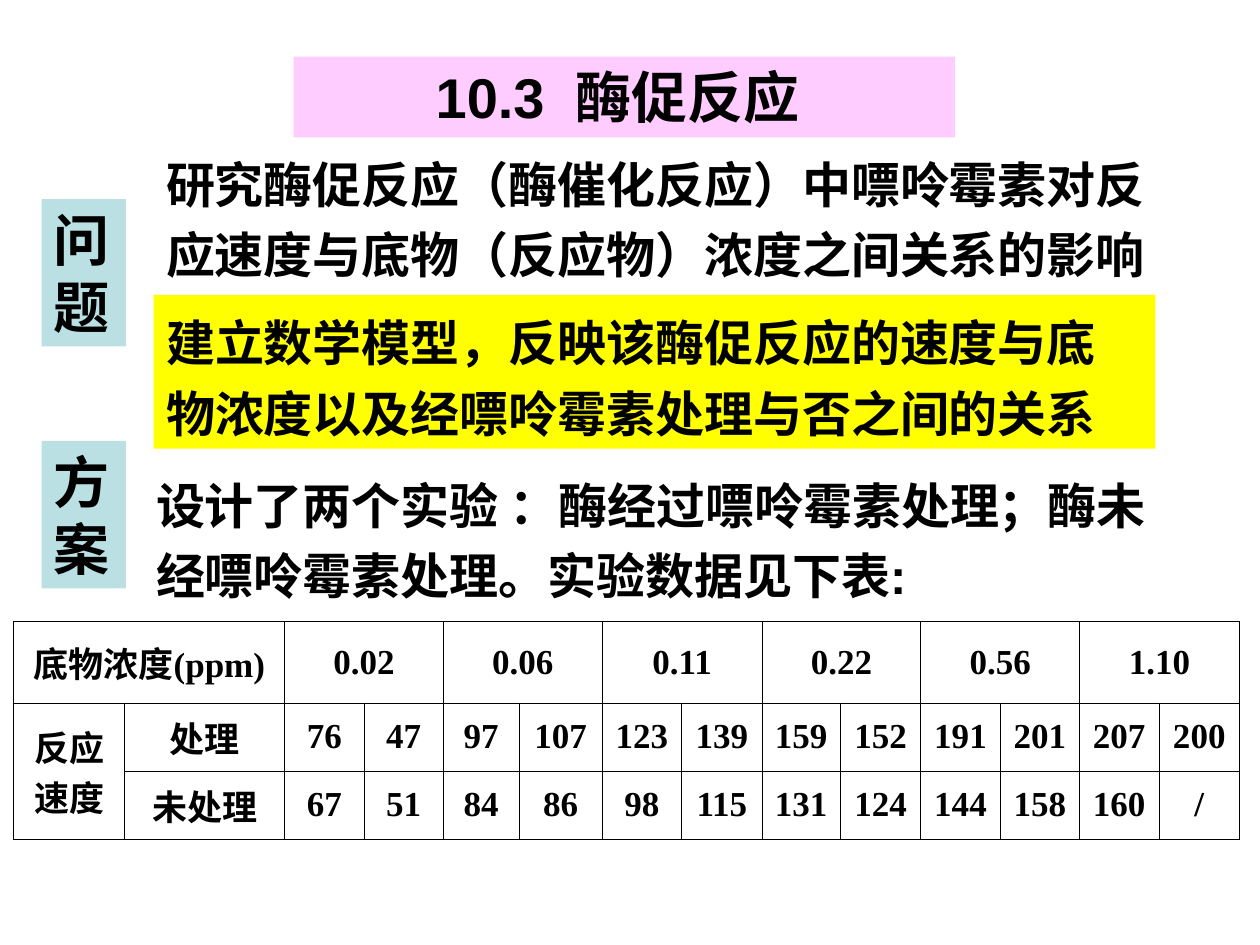
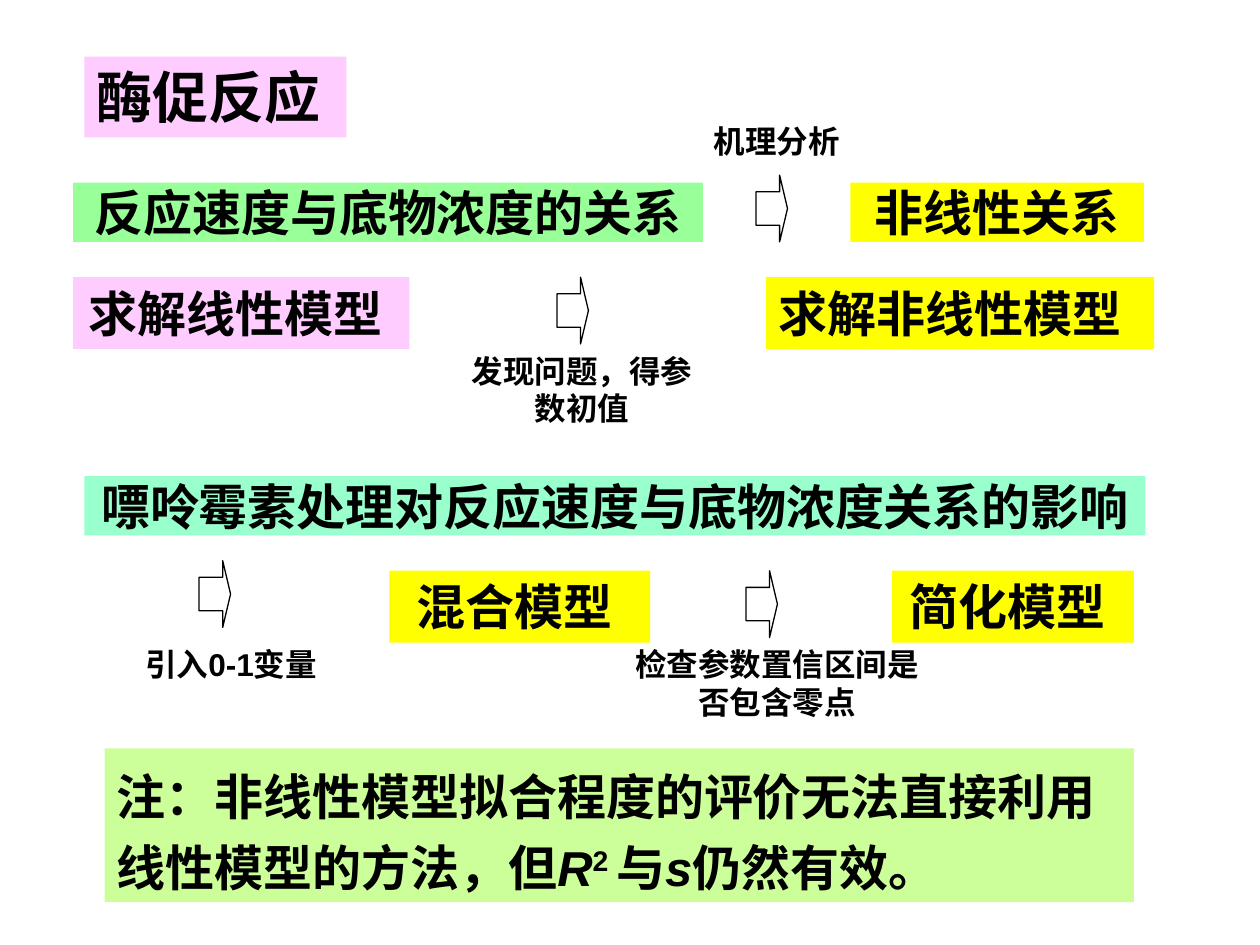
from lxml.etree import SubElement
from pptx import Presentation
from pptx.dml.color import RGBColor
from pptx.enum.lang import MSO_LANGUAGE_ID
from pptx.enum.shapes import MSO_SHAPE
from pptx.enum.text import MSO_ANCHOR, MSO_AUTO_SIZE, PP_ALIGN
from pptx.oxml.ns import qn
from pptx.util import Emu, Pt

EMU_PER_PX = 9144
SLIDE_SIZE = (1000, 750)

BLACK = RGBColor(0x00, 0x00, 0x00)
PINK = RGBColor(0xFF, 0xCC, 0xFF)
PALE_BLUE = RGBColor(0xBB, 0xE0, 0xE3)
YELLOW = RGBColor(0xFF, 0xFF, 0x00)
GREEN = RGBColor(0x99, 0xFF, 0x99)
MINT = RGBColor(0x99, 0xFF, 0xCC)
LIME = RGBColor(0xCC, 0xFF, 0x99)

ARIAL = "Arial"
TIMES = "Times New Roman"
CJK = "Noto Sans CJK SC"
IN_CJK = {"name": CJK}
ITALIC = {"italic": True}
SUPERSCRIPT = {"baseline": 30}

TITLE = {"size": 32, "space": 20}
BODY = {"size": 28, "space": 17.5}
CAPTION = {"size": 18, "space": 11.2}
CELL = {"size": 20, "space": 0, "name": TIMES}

CENTER, LEFT = PP_ALIGN.CENTER, PP_ALIGN.LEFT


def px(length):
    return Emu(length * EMU_PER_PX)


def set_all(target, values):
    for name, value in values.items():
        setattr(target, name, value)


class Deck:
    def __init__(self):
        self.presentation = Presentation()
        width, height = SLIDE_SIZE
        self.presentation.slide_width = px(width)
        self.presentation.slide_height = px(height)

    def new_slide(self):
        blank = self.presentation.slide_layouts[6]
        self.shapes = self.presentation.slides.add_slide(blank).shapes

    def put_text(self, frame, content, style, align, line_spacing=None):
        """Fill the frame with one paragraph: a string, or (text, overrides) runs."""
        paragraph = frame.paragraphs[0]
        set_all(paragraph, {"alignment": align, "space_before": Pt(style["space"]),
                            "line_spacing": line_spacing})
        runs = [(content, {})] if isinstance(content, str) else content
        for text, overrides in runs:
            run = paragraph.add_run()
            run.text = text
            look = {"name": style.get("name", ARIAL), "size": Pt(style["size"]),
                    "bold": True, "language_id": MSO_LANGUAGE_ID.SIMPLIFIED_CHINESE,
                    **overrides}
            baseline = look.pop("baseline", None)
            set_all(run.font, look)
            run.font.color.rgb = BLACK
            properties = run._r.get_or_add_rPr()
            if baseline:
                properties.set("baseline", str(baseline * 1000))
            SubElement(properties, qn("a:ea"), typeface=CJK)

    def fit(self, frame, inset):
        set_all(frame, {"word_wrap": True, "auto_size": MSO_AUTO_SIZE.SHAPE_TO_FIT_TEXT,
                        "vertical_anchor": MSO_ANCHOR.TOP,
                        "margin_left": px(10), "margin_right": px(10),
                        "margin_top": px(inset), "margin_bottom": px(inset)})

    def panel(self, box, content, color, style=BODY, align=CENTER, inset=5,
              line_spacing=None):
        shape = self.shapes.add_shape(MSO_SHAPE.RECTANGLE, *map(px, box))
        shape.shadow.inherit = False
        shape.fill.solid()
        shape.fill.fore_color.rgb = color
        shape.line.fill.background()
        self.fit(shape.text_frame, inset)
        self.put_text(shape.text_frame, content, style, align, line_spacing)

    def text(self, box, content, style=BODY, align=LEFT, inset=5, line_spacing=None,
             shapes=None):
        frame = (shapes or self.shapes).add_textbox(*map(px, box)).text_frame
        self.fit(frame, inset)
        self.put_text(frame, content, style, align, line_spacing)

    def step(self, caption_box, caption, arrow_corner):
        """A block arrow grouped with the caption that explains it."""
        group = self.shapes.add_group_shape().shapes
        self.text(caption_box, caption, CAPTION, CENTER, inset=0, shapes=group)
        arrow = group.add_shape(MSO_SHAPE.RIGHT_ARROW, *map(px, (*arrow_corner, 25, 53)))
        arrow.adjustments[0], arrow.adjustments[1] = 0.5, 0.25
        arrow.shadow.inherit = False
        arrow.fill.background()
        arrow.line.color.rgb = BLACK
        arrow.line.width = Pt(0.75)

    def table(self, corner, widths, heights, rows, merges):
        """Cells holding None are covered by a merged neighbour."""
        box = (*corner, sum(widths), sum(heights))
        table = self.shapes.add_table(len(rows), len(widths), *map(px, box)).table
        set_all(table, {"first_row": False, "horz_banding": False})
        for column, width in zip(table.columns, widths):
            column.width = px(width)
        for row, height in zip(table.rows, heights):
            row.height = px(height)
        for r, contents in enumerate(rows):
            for c, content in enumerate(contents):
                cell = table.cell(r, c)
                self.border(cell)
                cell.fill.background()
                cell.vertical_anchor = MSO_ANCHOR.MIDDLE
                if content is not None:
                    self.put_text(cell.text_frame, content, CELL, CENTER)
        for first, last in merges:
            table.cell(*first).merge(table.cell(*last))

    def border(self, cell):
        properties = cell._tc.get_or_add_tcPr()
        for side in ("lnL", "lnR", "lnT", "lnB"):
            line = SubElement(properties, qn(f"a:{side}"), w=str(Pt(0.45)))
            fill = SubElement(line, qn("a:solidFill"))
            SubElement(fill, qn("a:srgbClr"), val=str(BLACK))


def problem_slide(deck):
    deck.new_slide()
    deck.panel((233, 45, 525, 64), [("10.3  ", {}), ("酶促反应 ", IN_CJK)], PINK, TITLE)
    for top, label in ((158, "问题"), (350, "方案")):
        deck.panel((33, top, 67, 117), label, PALE_BLUE, TITLE, LEFT)
    deck.text((122, 108, 803, 122), [
        ("研究酶促反应（", {}), ("酶催化反应）", IN_CJK),
        ("中嘌呤霉素对反应速度与底物", {}), ("（反应物）", IN_CJK),
        ("浓度之间关系的影响", {})], line_spacing=1.2)
    deck.panel((122, 234, 795, 122),
               "建立数学模型，反映该酶促反应的速度与底物浓度以及经嘌呤霉素处理与否之间的关系",
               YELLOW, align=LEFT, line_spacing=1.2)
    deck.text((114, 363, 835, 122),
              "设计了两个实验 ：酶经过嘌呤霉素处理；酶未经嘌呤霉素处理。实验数据见下表:",
              {**BODY, "space": 0}, line_spacing=1.2)

    concentrations = ("0.02", "0.06", "0.11", "0.22", "0.56", "1.10")
    treated = "76 47 97 107 123 139 159 152 191 201 207 200".split()
    untreated = "67 51 84 86 98 115 131 124 144 158 160 /".split()
    header = [[("底物浓度", IN_CJK), ("(ppm)", {})], None]
    for concentration in concentrations:
        header += [concentration, None]
    rows = [header, ["反应速度", "处理", *treated], [None, "未处理", *untreated]]
    pairs = [((0, c), (0, c + 1)) for c in range(0, len(header), 2)]
    deck.table((11, 493),
               (88, 127, 63, 63, 60, 66, 63, 64, 62, 64, 63, 63, 63, 64),
               (65, 54, 54), rows, pairs + [((1, 0), (2, 0))])


def model_slide(deck):
    deck.new_slide()
    deck.panel((83, 594, 817, 122), [
        ("注：非线性模型拟合程度的评价无法直接利用线性模型的方法，但", {}),
        ("R", ITALIC), ("2 ", SUPERSCRIPT), ("与", {}), ("s", ITALIC),
        ("仍然有效。", {})], LIME, align=LEFT, line_spacing=1.2)
    deck.panel((67, 45, 208, 64), [("酶促反应 ", IN_CJK)], PINK, TITLE)

    deck.panel((58, 145, 500, 47), "反应速度与底物浓度的关系", GREEN, inset=0)
    deck.panel((675, 145, 233, 47), [("非线性", IN_CJK), ("关系", {})], YELLOW, inset=0)
    deck.panel((58, 220, 267, 57), "求解线性模型 ", PINK)
    deck.panel((608, 220, 308, 57), "求解非线性模型", YELLOW, {**BODY, "space": 0}, LEFT)
    deck.step((533, 97, 167, 30), "机理分析", (600, 139))
    deck.step((358, 279, 208, 60), "发现问题，得参数初值", (442, 220))

    deck.panel((67, 378, 842, 47), "嘌呤霉素处理对反应速度与底物浓度关系的影响",
               MINT, inset=0)
    for left, width, model in ((309, 207, "混合模型 "), (708, 192, "简化模型 ")):
        deck.panel((left, 453, width, 57), [(model, IN_CJK)], YELLOW)
    deck.step((75, 512, 217, 30),
              [("引入", IN_CJK), ("0-1", {}), ("变量", IN_CJK)], (158, 445))
    deck.step((483, 512, 267, 60), "检查参数置信区间是否包含零点", (592, 453))


def main():
    deck = Deck()
    problem_slide(deck)
    model_slide(deck)
    deck.presentation.save("out.pptx")


if __name__ == "__main__":
    main()
